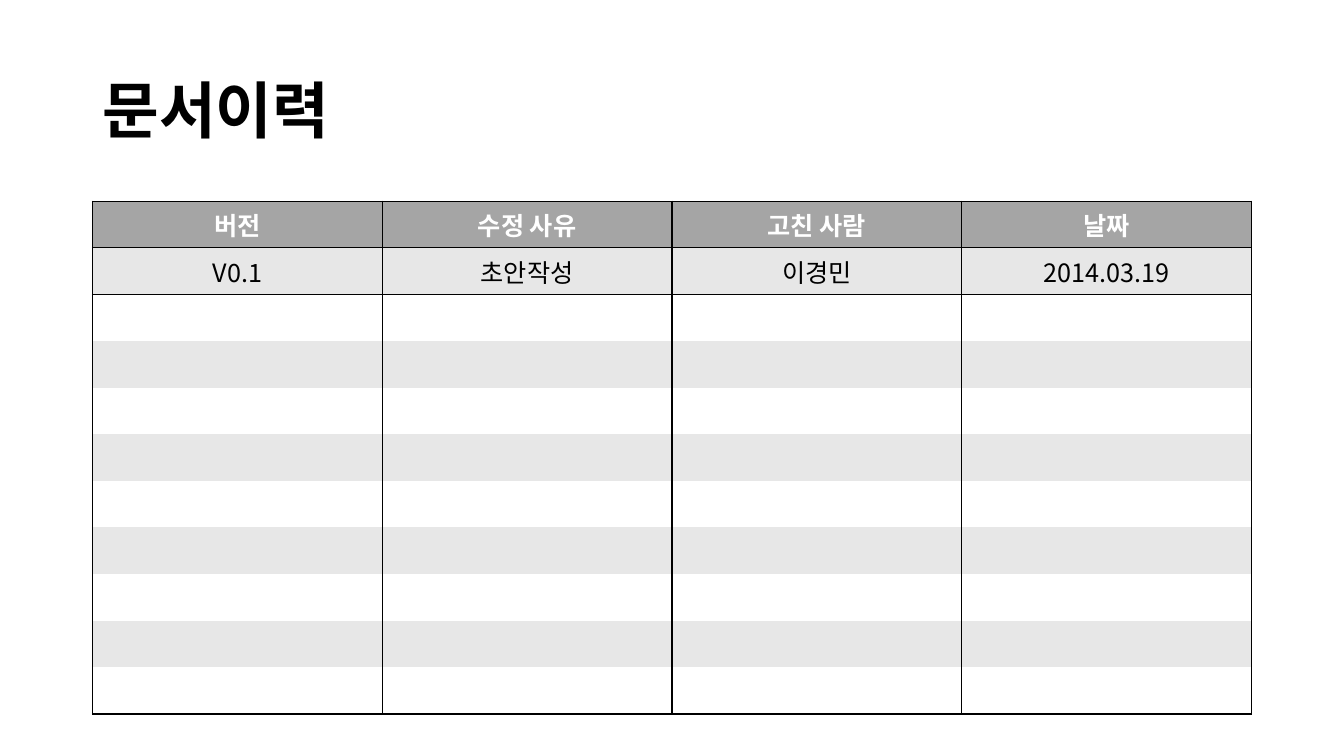
from lxml.etree import SubElement
from pptx import Presentation
from pptx.dml.color import RGBColor
from pptx.enum.text import MSO_ANCHOR as Anchor, PP_ALIGN as Align
from pptx.oxml.ns import qn
from pptx.util import Pt

FONT = "Noto Sans CJK KR"
COLORS = {"ink": "000000", "paper": "FFFFFF", "header": "A5A5A5", "band": "E7E7E7"}
HISTORY = [
    ["버전", "수정 사유", "고친 사람", "날짜"],
    ["V0.1", "초안작성", "이경민", "2014.03.19"],
]
ROW_COUNT = 11
LEFT, WIDTH = 66, 828
ROW_HEIGHT = 33.3


def write_text(frame, text, size=18, color="ink", bold=False,
               align=Align.CENTER, line_spacing=None):
    para = frame.paragraphs[0]
    para.alignment = align
    para.line_spacing = line_spacing
    span = para.add_run()
    span.text = text
    font = span.font
    font.name, font.size, font.bold = FONT, Pt(size), bold
    font.color.rgb = RGBColor.from_string(COLORS[color])
    # Hangul takes the East Asian typeface
    SubElement(font._element, qn("a:ea"), typeface=FONT)


def add_title(slide, text):
    box = slide.shapes.title
    box.left, box.top, box.width, box.height = Pt(LEFT), Pt(28.75), Pt(WIDTH), Pt(104.4)
    box.text_frame.vertical_anchor = Anchor.MIDDLE
    write_text(box.text_frame, text, size=44, bold=True,
               align=Align.LEFT, line_spacing=0.9)


def set_border(cell, side, width):
    properties = cell._tc.get_or_add_tcPr()
    line = SubElement(properties, qn(f"a:ln{side}"), w=str(Pt(width)))
    if width:
        fill = SubElement(line, qn("a:solidFill"))
        SubElement(fill, qn("a:srgbClr"), val=COLORS["ink"])
    else:
        SubElement(line, qn("a:noFill"))


def format_cell(cell, row):
    # Rules frame the two filled rows; the empty rows have only verticals
    top = 1 if row <= len(HISTORY) else 0
    bottom = 2 if row == ROW_COUNT - 1 else int(row < len(HISTORY))
    for side, width in (("L", 1), ("R", 1), ("T", top), ("B", bottom)):
        set_border(cell, side, width)
    color = "header" if row == 0 else "band" if row % 2 else "paper"
    cell.fill.solid()
    cell.fill.fore_color.rgb = RGBColor.from_string(COLORS[color])
    cell.vertical_anchor = Anchor.MIDDLE


def add_history_table(slide):
    column_count = len(HISTORY[0])
    table = slide.shapes.add_table(ROW_COUNT, column_count, Pt(LEFT), Pt(143.75),
                                   Pt(WIDTH), Pt(ROW_HEIGHT * ROW_COUNT)).table
    for column in table.columns:
        column.width = Pt(WIDTH / column_count)
    for row in range(ROW_COUNT):
        table.rows[row].height = Pt(ROW_HEIGHT)
        for column in range(column_count):
            format_cell(table.cell(row, column), row)
    for row, entries in enumerate(HISTORY):
        for column, text in enumerate(entries):
            write_text(table.cell(row, column).text_frame, text,
                       color="ink" if row else "paper", bold=row == 0)


def main():
    deck = Presentation()
    deck.slide_width, deck.slide_height = Pt(960), Pt(540)
    slide = deck.slides.add_slide(deck.slide_layouts.get_by_name("Title Only"))
    add_title(slide, "문서이력")
    add_history_table(slide)
    deck.save("out.pptx")


if __name__ == "__main__":
    main()
